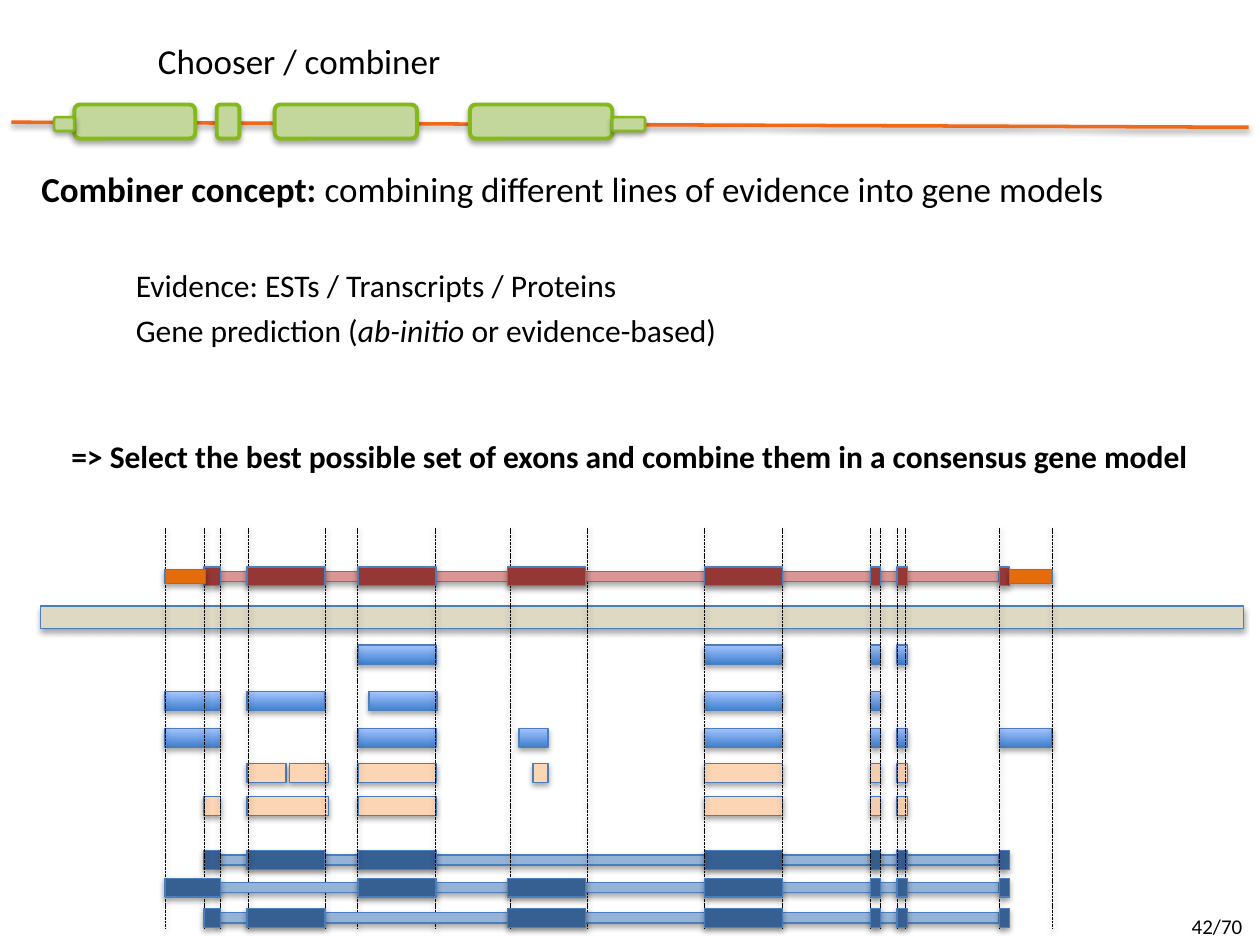
"""Build a slide on combining lines of evidence into gene models."""
from pptx import Presentation
from pptx.dml.color import RGBColor
from pptx.enum.dml import MSO_LINE
from pptx.enum.shapes import MSO_CONNECTOR, MSO_SHAPE
from pptx.enum.text import MSO_ANCHOR, MSO_AUTO_SIZE, PP_ALIGN
from pptx.oxml import parse_xml
from pptx.oxml.ns import nsdecls
from pptx.util import Inches, Pt

RECT, ROUND = MSO_SHAPE.RECTANGLE, MSO_SHAPE.ROUNDED_RECTANGLE
LINE, DASH = MSO_CONNECTOR.STRAIGHT, MSO_LINE.SQUARE_DOT
LEFT, MID = PP_ALIGN.LEFT, PP_ALIGN.CENTER
GROW, FIXED = MSO_AUTO_SIZE.SHAPE_TO_FIT_TEXT, MSO_AUTO_SIZE.NONE
ANCHOR = MSO_ANCHOR.MIDDLE

WIDE, HIGH = 10, 7.5
TITLE = "Chooser / combiner"
BOLD, ITAL = {"bold": True}, {"italic": True}
TEXTS = [
    ((0.98, 2.42, 4.86, 0.4), 18, LEFT, False, GROW,
     [("Gene prediction (", {}), ("ab-initio ", ITAL), ("or evidence-based)", {})]),
    ((0.98, 2.06, 4.4, 0.4), 18, LEFT, True, GROW,
     [("Evidence: ESTs / Transcripts / Proteins", {})]),
    ((0, 3.42, WIDE, 0.4), 18, MID, True, GROW,
     [("=> Select the best possible set of exons and combine them "
       "in a consensus gene model", BOLD)]),
    ((9.36, 7.2, 0.64, 0.3), 12, LEFT, True, FIXED, [("42/70", {})]),
    ((0.23, 1.28, 9.77, 0.44), 20, LEFT, True, GROW,
     [("Combiner concept: ", BOLD),
      ("combining different lines of evidence into gene models", {})]),
]

GENE = [(0.59, 0.96), (1.72, 0.18), (2.18, 1.13), (3.73, 1.13)]
ENDS = [(4.86, 0.26), (0.43, 0.16)]
BANDS = [(GENE, 0.83, 0.27, 2.25), (ENDS, 0.93, 0.11, 1.5)]

SPANS = {
    "intron": (1.71, 6.22), "start": (1.62, 0.13), "first": (1.31, 0.44),
    "A": (1.96, 0.62), "B": (2.84, 0.62), "C": (4.03, 0.62), "D": (5.59, 0.62),
    "E": (6.91, 0.08), "F": (7.12, 0.08), "stop": (7.93, 0.08),
    "head": (1.31, 0.32), "tail": (8.01, 0.34), "last": (7.93, 0.42),
    "A left": (1.96, 0.31), "A right": (2.3, 0.31), "A long": (1.96, 0.65),
    "B short": (2.93, 0.54), "C part": (4.12, 0.23), "C bit": (4.23, 0.12),
}
GUIDES = [1.31, 1.62, 1.75, 1.97, 2.58, 2.84, 3.46, 4.05, 4.66, 5.59,
          6.21, 6.91, 6.99, 7.12, 7.19, 7.93, 8.35]
TOP, END = 4.19, 7.37
THIN, SLIM, FULL = 0.08, 0.11, 0.15

BLUE, NAVY, PALE = ("3F80CE", "A4C4FF"), "376092", "95B3D7"
PEACH, RED, PINK, AMBER = "FCD5B5", "953735", "D99694", "E46C0A"
EDGE, INK, SAND = "4B7EBC", "000000", "DDD9C3"
GREEN, LIME, FLAME = "C3D69B", "84B919", "F0681A"

HITS = [
    (6.06, PEACH, ["A left", "B", "D", "E", "F", "A right", "C bit"]),
    (6.32, PEACH, ["start", "B", "D", "E", "F", "A long"]),
    (5.12, BLUE, ["B", "D", "E", "F"]),
    (5.49, BLUE, ["A", "B short", "D", "E", "first"]),
    (5.78, BLUE, ["B", "D", "E", "F", "last", "first", "C part"]),
]
LOW = (6.75, NAVY, PALE, ["A", "B", "D", "E", "F", "stop", "start"])
MODELS = [
    (6.97, NAVY, PALE, ["C", "B", "D", "E", "F", "stop", "first"]),
    (7.21, NAVY, PALE, ["C", "A", "D", "E", "F", "stop", "start"]),
    (4.5, RED, PINK, ["A", "B", "D", "E", "F", "stop", "start", "C"]),
]


def tint(code):
    return RGBColor.from_string(code)


def shade(item, dist, alpha):
    item.element.spPr.append(parse_xml(
        f'<a:effectLst {nsdecls("a")}><a:outerShdw blurRad="40000" dist="{dist}" '
        'dir="5400000" rotWithShape="0"><a:srgbClr val="000000">'
        f'<a:alpha val="{alpha}000"/></a:srgbClr></a:outerShdw></a:effectLst>'))


def box(pool, place, fill, edge=EDGE, width=0.75, kind=RECT):
    item = pool.add_shape(kind, *map(Inches, place))
    if isinstance(fill, tuple):
        item.fill.gradient()
        item.fill.gradient_angle = 90
        for stop, code in zip(item.fill.gradient_stops, fill):
            stop.color.rgb = tint(code)
    else:
        item.fill.solid()
        item.fill.fore_color.rgb = tint(fill)
    item.line.color.rgb = tint(edge)
    item.line.width = Pt(width)
    shade(item, 23000, 35)


def rule(pool, ends, code, width, dash=None):
    item = pool.add_connector(LINE, *map(Inches, ends))
    item.line.color.rgb = tint(code)
    item.line.width = Pt(width)
    if dash:
        item.line.dash_style = dash
    shade(item, 20000, 38)


def write(para, runs, size, align):
    para.alignment = align
    for text, extra in runs:
        run = para.add_run()
        run.text = text
        look = {"name": "Calibri", "size": Pt(size), "bold": False, "italic": False}
        for key, val in {**look, **extra}.items():
            setattr(run.font, key, val)
        run.font.color.rgb = tint(INK)


def row(pool, top, high, fill, keys):
    for key in keys:
        left, wide = SPANS[key]
        box(pool, (left, top, wide, high), fill)


def model(pool, top, fill, back, keys):
    row(pool, top + (FULL - THIN) / 2, THIN, back, ["intron"])
    row(pool, top, FULL, fill, keys)


def main():
    deck = Presentation()
    deck.slide_width, deck.slide_height = Inches(WIDE), Inches(HIGH)
    slide = deck.slides.add_slide(deck.slide_layouts[5])
    pool = slide.shapes

    def group():
        return pool.add_group_shape().shapes

    head = pool.title
    spot = dict(zip(("left", "top", "width", "height"),
                    map(Inches, (0.5, 0.24, 3.75, 0.48))))
    for key, val in spot.items():
        setattr(head, key, val)
    head.text_frame.vertical_anchor = ANCHOR
    write(head.text_frame.paragraphs[0], [(TITLE, {})], 20, MID)

    rule(pool, (0.09, 0.97, 9.91, 1.01), FLAME, 2)
    for spans, top, high, width in BANDS:
        for left, wide in spans:
            box(pool, (left, top, wide, high), GREEN, LIME, width, ROUND)

    box(pool, (0.32, 4.81, 9.55, 0.18), SAND)
    model(group(), *LOW)
    for top, fill, keys in HITS:
        row(group(), top, FULL, fill, keys)
    lines = group()
    for left in GUIDES:
        rule(lines, (left, TOP, left, END), INK, 0.5, DASH)
    for track in MODELS:
        part = group()
        model(part, *track)
    row(part, track[0] + (FULL - SLIM) / 2, SLIM, AMBER, ["head", "tail"])

    for place, size, align, wrap, fit, runs in TEXTS:
        frame = pool.add_textbox(*map(Inches, place)).text_frame
        frame.word_wrap, frame.auto_size = wrap, fit
        write(frame.paragraphs[0], runs, size, align)
    deck.save("out.pptx")


if __name__ == "__main__":
    main()
